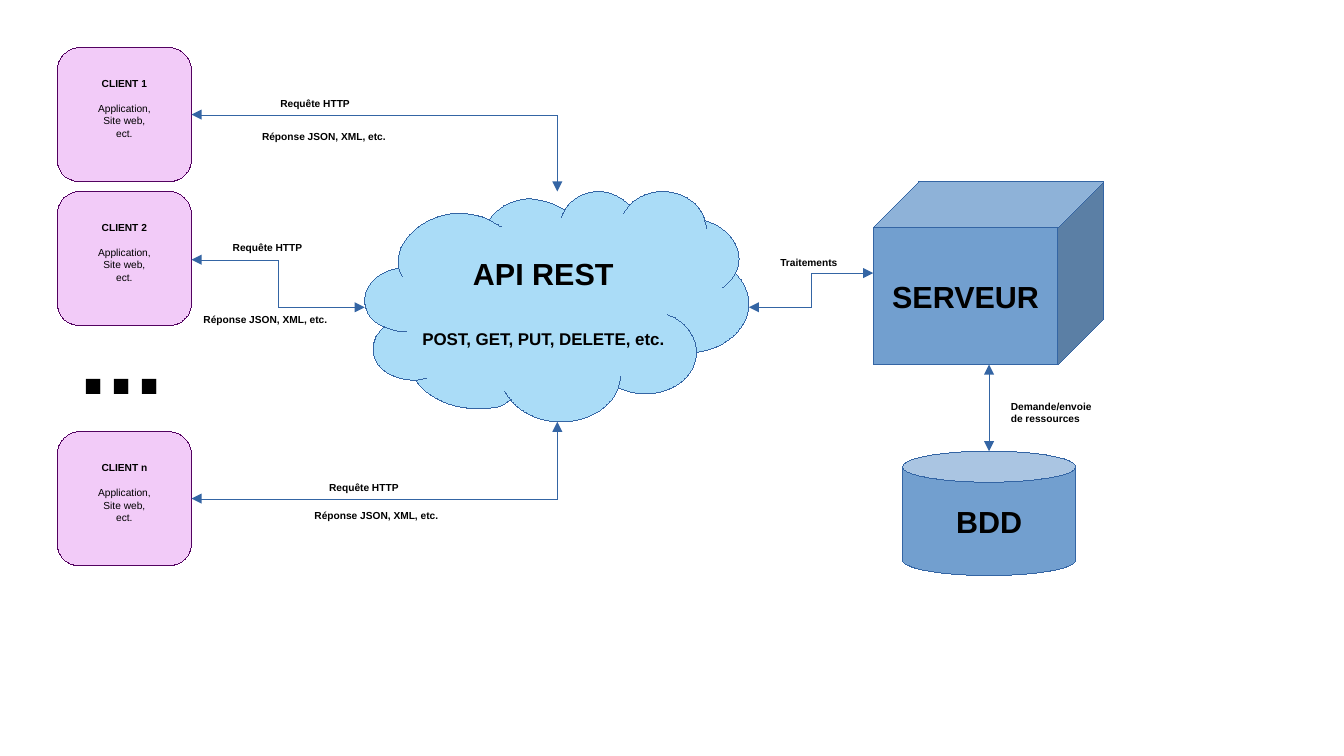
from dataclasses import dataclass
from typing import NamedTuple

from lxml.etree import SubElement
from pptx import Presentation
from pptx.dml.color import RGBColor
from pptx.enum.shapes import MSO_CONNECTOR, MSO_SHAPE
from pptx.enum.text import MSO_ANCHOR, MSO_AUTO_SIZE, PP_ALIGN
from pptx.oxml.ns import qn
from pptx.shapes.autoshape import Shape
from pptx.shapes.connector import Connector
from pptx.shapes.shapetree import SlideShapes
from pptx.text.text import TextFrame
from pptx.util import Emu, Pt

EMU_PER_PX = 9144  # 100 px to the inch


@dataclass(frozen=True)
class Theme:
    font: str = "Arial"
    text: str = "000000"
    client_fill: str = "F2CBF8"
    client_line: str = "530260"
    cloud_fill: str = "AADCF7"
    server_fill: str = "729FCF"
    line: str = "3465A4"
    small: int = 6
    medium: int = 10
    title: int = 18
    dots: int = 60


THEME = Theme()


class Line(NamedTuple):
    text: str
    size: int = THEME.small
    bold: bool = True
    gap: float = 0


class Block(NamedTuple):
    kind: MSO_SHAPE
    left: int
    top: int
    width: int
    height: int
    fill: str
    outline: str
    lines: list[Line]
    bottom_inset: int = 5


class Label(NamedTuple):
    left: int
    top: int
    width: int
    height: int
    line: Line


class Link(NamedTuple):
    geometry: str
    start: tuple[int, int]
    end: tuple[int, int]


class Curve(NamedTuple):
    """A start point and cubic segments: two control points and an end each."""
    start: tuple[int, int]
    segments: list[tuple[int, int, int, int, int, int]]


def client(name: str, top: int) -> Block:
    lines = [Line(name), Line("Application,", bold=False, gap=7.5),
             Line("Site web,", bold=False), Line("ect.", bold=False)]
    return Block(MSO_SHAPE.ROUNDED_RECTANGLE, 47, top, 110, 110,
                 THEME.client_fill, THEME.client_line, lines, bottom_inset=15)


def request(left: int, top: int) -> Label:
    return Label(left, top, 181, 19, Line("Requête HTTP"))


def response(left: int, top: int) -> Label:
    return Label(left, top, 339, 19, Line("Réponse JSON, XML, etc."))


BLOCKS = [
    client("CLIENT 1", 39), client("CLIENT 2", 157), client("CLIENT n", 354),
    Block(MSO_SHAPE.CUBE, 716, 149, 189, 150, THEME.server_fill, THEME.line,
          [Line("SERVEUR", THEME.title)]),
    Block(MSO_SHAPE.CAN, 740, 370, 142, 102, THEME.server_fill, THEME.line,
          [Line("BDD", THEME.title)]),
]
LABELS = [
    Label(55, 235, 142, 127, Line("...", THEME.dots)),
    request(220, 75), request(181, 193), request(260, 390),
    response(205, 102), response(157, 252), response(248, 413),
    Label(630, 205, 71, 19, Line("Traitements")),
    Label(819, 323, 87, 31, Line("Demande/envoie de ressources")),
]
LINKS = [
    Link("bentConnector2", (157, 94), (457, 157)),
    Link("bentConnector3", (157, 213), (299, 252)),
    Link("bentConnector2", (157, 409), (457, 346)),
    Link("bentConnector3", (614, 252), (716, 224)),
    Link("line", (811, 370), (811, 299)),
]
CLOUD_LINES = [Line("API REST", THEME.title),
               Line("POST, GET, PUT, DELETE, etc.", THEME.medium, gap=21.5)]
CLOUD_OUTLINE = Curve((327, 220), [
    (322, 197, 349, 175, 376, 175), (385, 175, 394, 177, 401, 180),
    (408, 170, 421, 163, 435, 163), (445, 164, 455, 167, 463, 172),
    (468, 163, 479, 157, 491, 157), (501, 157, 510, 162, 516, 168),
    (523, 161, 533, 157, 543, 157), (560, 157, 575, 167, 578, 181),
    (594, 185, 606, 198, 606, 212), (606, 216, 605, 220, 603, 224),
    (610, 231, 614, 240, 614, 249), (614, 269, 595, 286, 571, 289),
    (571, 308, 552, 323, 529, 323), (521, 323, 514, 321, 507, 318),
    (501, 335, 481, 346, 460, 346), (443, 346, 428, 339, 419, 328),
    (410, 332, 415, 335, 390, 335), (370, 335, 351, 326, 341, 312),
    (318, 311, 306, 300, 306, 286), (306, 279, 309, 273, 315, 268),
    (305, 264, 299, 256, 299, 246), (299, 233, 311, 222, 327, 220),
])
CLOUD_FOLDS = [
    Curve((327, 220), [(328, 222, 329, 225, 330, 227)]),
    Curve((401, 180), [(404, 182, 408, 184, 411, 186)]),
    Curve((463, 172), [(462, 174, 461, 176, 460, 178)]),
    Curve((516, 168), [(514, 170, 513, 173, 511, 175)]),
    Curve((578, 181), [(578, 183, 580, 186, 579, 187)]),
    Curve((603, 224), [(600, 229, 597, 233, 592, 236)]),
    Curve((571, 289), [(572, 282, 566, 264, 547, 258)]),
    Curve((507, 318), [(508, 315, 508, 312, 509, 309)]),
    Curve((419, 328), [(417, 326, 415, 323, 414, 321)]),
    Curve((341, 312), [(344, 311, 347, 311, 350, 310)]),
    Curve((315, 268), [(320, 270, 325, 272, 333, 272)]),
]


def px(length: int) -> Emu:
    return Emu(length * EMU_PER_PX)


def write_lines(frame: TextFrame, lines: list[Line], align: PP_ALIGN) -> None:
    frame.text = "\n".join(line.text for line in lines)
    for para, line in zip(frame.paragraphs, lines):
        para.alignment = align
        para.space_before = Pt(line.gap)
        for span in para.runs:
            span.font.name = THEME.font
            span.font.size = Pt(line.size)
            span.font.bold = line.bold
            span.font.color.rgb = RGBColor.from_string(THEME.text)


def write_centred(shape: Shape, lines: list[Line], right: int, bottom: int) -> None:
    frame = shape.text_frame
    write_lines(frame, lines, PP_ALIGN.CENTER)
    frame.word_wrap = False
    frame.vertical_anchor = MSO_ANCHOR.MIDDLE
    frame.margin_right, frame.margin_bottom = px(right), px(bottom)


def set_hairline(shape: Shape | Connector, colour: str) -> None:
    """Width 0 is written in the XML, since the width property drops it."""
    shape.line.color.rgb = RGBColor.from_string(colour)
    shape.element.spPr.find(qn("a:ln")).set("w", "0")


def paint(shape: Shape, fill: str, outline: str) -> None:
    shape.shadow.inherit = False
    shape.fill.solid()
    shape.fill.fore_color.rgb = RGBColor.from_string(fill)
    set_hairline(shape, outline)


def draw_block(shapes: SlideShapes, block: Block) -> None:
    shape = shapes.add_shape(block.kind, px(block.left), px(block.top),
                             px(block.width), px(block.height))
    paint(shape, block.fill, block.outline)
    write_centred(shape, block.lines, 10, block.bottom_inset)


def draw_label(shapes: SlideShapes, label: Label) -> None:
    box = shapes.add_textbox(px(label.left), px(label.top),
                             px(label.width), px(label.height))
    box.text_frame.word_wrap = True
    box.text_frame.auto_size = MSO_AUTO_SIZE.SHAPE_TO_FIT_TEXT
    write_lines(box.text_frame, [label.line], PP_ALIGN.LEFT)


def draw_link(shapes: SlideShapes, link: Link) -> None:
    kind = MSO_CONNECTOR.STRAIGHT if link.geometry == "line" else MSO_CONNECTOR.ELBOW
    connector = shapes.add_connector(kind, *map(px, link.start + link.end))
    set_hairline(connector, THEME.line)
    properties = connector.element.spPr
    properties.find(qn("a:prstGeom")).set("prst", link.geometry)
    for arrowhead in ("a:headEnd", "a:tailEnd"):
        SubElement(properties.find(qn("a:ln")), qn(arrowhead), type="triangle")
    SubElement(properties, qn("a:effectLst"))


def draw_cloud(shapes: SlideShapes) -> None:
    """Frame the cloud by its segment ends, then give it its Bézier curves."""
    ends = [segment[4:] for segment in CLOUD_OUTLINE.segments]
    left, top = (min(axis) for axis in zip(*ends))
    width, height = (max(axis) - min(axis) for axis in zip(*ends))
    builder = shapes.build_freeform(*CLOUD_OUTLINE.start, scale=EMU_PER_PX)
    builder.add_line_segments(ends)
    cloud = builder.convert_to_shape()
    outlines = cloud.element.spPr.find(qn("a:custGeom")).find(qn("a:pathLst"))
    outlines.remove(outlines[0])
    for curve in [CLOUD_OUTLINE, *CLOUD_FOLDS]:
        closed = curve is CLOUD_OUTLINE
        outline = SubElement(outlines, qn("a:path"), w=str(width), h=str(height),
                             fill="norm" if closed else "none")
        for tag, numbers in [("a:moveTo", curve.start),
                             *(("a:cubicBezTo", segment) for segment in curve.segments)]:
            command = SubElement(outline, qn(tag))
            for x, y in zip(numbers[::2], numbers[1::2]):
                SubElement(command, qn("a:pt"), x=str(x - left), y=str(y - top))
        if closed:
            SubElement(outline, qn("a:close"))
    paint(cloud, THEME.cloud_fill, THEME.line)
    write_centred(cloud, CLOUD_LINES, 32, 13)


def main() -> None:
    deck = Presentation()
    deck.slide_width, deck.slide_height = px(1102), px(620)
    shapes = deck.slides.add_slide(deck.slide_layouts[6]).shapes
    draw_cloud(shapes)
    for block in BLOCKS:
        draw_block(shapes, block)
    for link in LINKS:
        draw_link(shapes, link)
    for label in LABELS:
        draw_label(shapes, label)
    deck.save("out.pptx")


if __name__ == "__main__":
    main()
